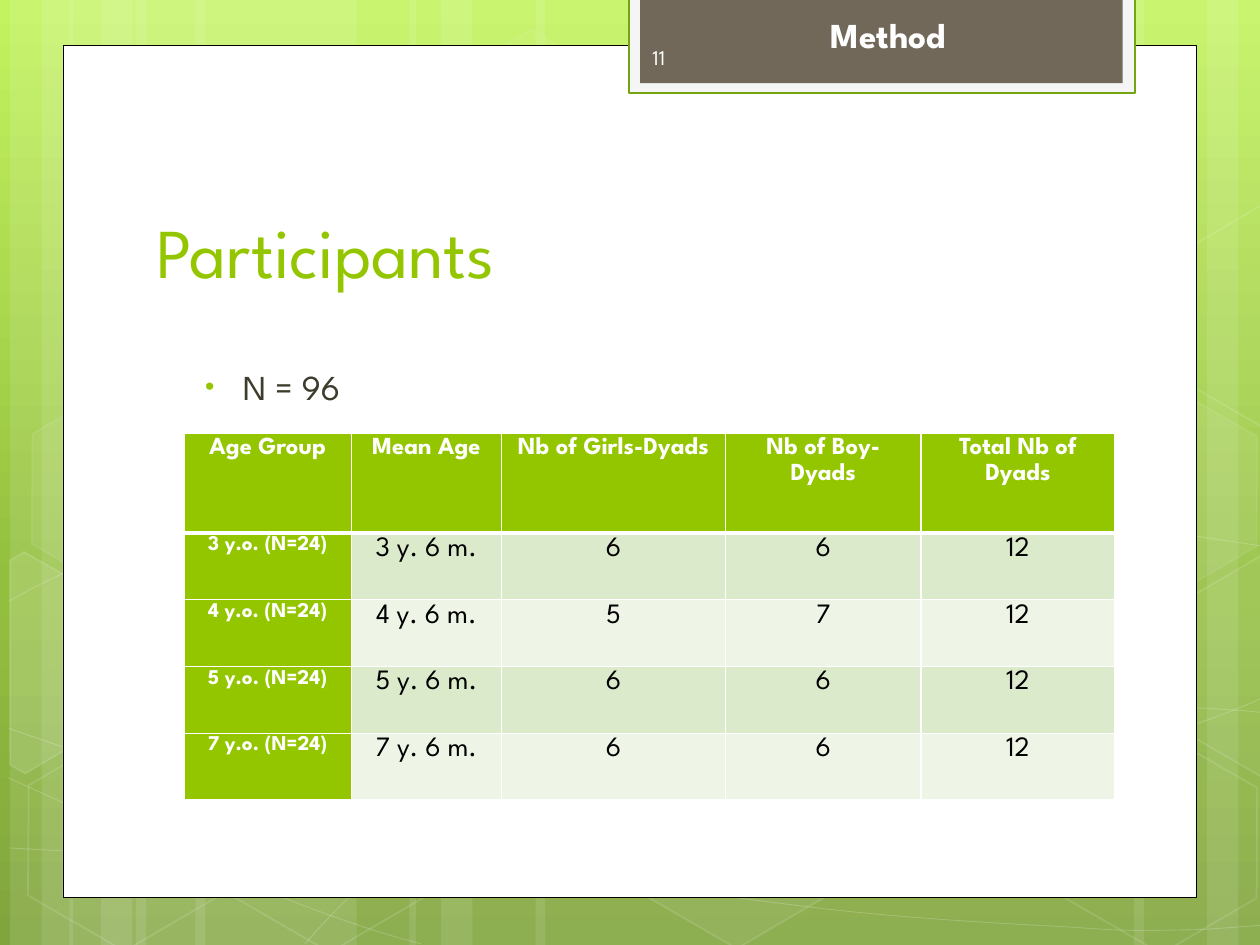
from dataclasses import dataclass
from typing import Optional

from lxml import etree
from pptx import Presentation
from pptx.dml.color import RGBColor
from pptx.enum.shapes import MSO_SHAPE
from pptx.enum.text import MSO_ANCHOR, MSO_AUTO_SIZE, PP_ALIGN
from pptx.oxml import parse_xml
from pptx.oxml.ns import nsdecls, qn
from pptx.util import Inches, Pt

RECTANGLE, HEXAGON = MSO_SHAPE.RECTANGLE, MSO_SHAPE.HEXAGON
TOP, MIDDLE, BOTTOM = MSO_ANCHOR.TOP, MSO_ANCHOR.MIDDLE, MSO_ANCHOR.BOTTOM
LEFT, CENTER = PP_ALIGN.LEFT, PP_ALIGN.CENTER
NO_AUTOFIT = MSO_AUTO_SIZE.NONE

FONT = "League Spartan"
WHITE = RGBColor(0xFF, 0xFF, 0xFF)
BLACK = RGBColor(0, 0, 0)
GREEN = RGBColor(0x94, 0xC6, 0x00)
DARK_GREEN = RGBColor(0x74, 0xA5, 0x10)
OLIVE = RGBColor(0x3E, 0x3D, 0x2D)
BROWN = RGBColor(0x71, 0x68, 0x5A)
TAB_GRAY = RGBColor(0xF5, 0xF5, 0xF5)
NUMBER_WHITE = RGBColor(0xFE, 0xFE, 0xFE)
BAND_COLORS = (RGBColor(0xDC, 0xEA, 0xCC), RGBColor(0xEE, 0xF5, 0xE7))
BACKGROUND_STOPS = ((0, "C3F35F"), (62, "93BF3F"), (100, "81A53E"))


@dataclass
class Style:
    fill: Optional[RGBColor] = None
    fill_alpha: int = 100
    line: Optional[RGBColor] = None
    line_width: float = 1
    line_alpha: int = 100


@dataclass
class Hexagon:
    left: float
    top: float
    fill_alpha: int
    line_alpha: int


@dataclass
class Outline:
    points: tuple
    fill_alpha: int


BAND_STYLE = Style(WHITE, 10)
CURVE_STYLE = Style(line=WHITE, line_width=0.5, line_alpha=20)

# Left edge and width of the translucent vertical bands
BANDS = ((1.08, 1.75), (0.08, 0.5), (0.33, 0.83), (1.55, 1.75), (0.55, 0.5), (0.8, 0.83),
         (7.33, 1.75), (9.58, 0.5), (9, 0.83), (4.25, 3.08), (3.25, 0.5), (3.5, 0.83))

# Each curve: a start point, then three points for each cubic segment
CURVES = (
    ((0.07, 6.73), (0.61, 6.76), (1.15, 6.79), (1.9, 6.78), (2.65, 6.77), (3.58, 6.75),
     (4.58, 6.65), (5.58, 6.55), (7, 6.36), (7.92, 6.17), (8.83, 5.98), (9.77, 5.68),
     (10.07, 5.51)),
    ((0.07, 4.77), (0.36, 4.61), (0.65, 4.46), (1.21, 4.31), (1.78, 4.16), (2.59, 3.94),
     (3.47, 3.87), (4.36, 3.8), (5.44, 3.79), (6.54, 3.87), (7.64, 3.95), (9.47, 4.26),
     (10.07, 4.34)),
    ((0.06, 6.17), (1.27, 6.72), (2.47, 7.27), (3.34, 7.49)),
    ((0.07, 5.78), (0.38, 5.89), (0.7, 6), (1.28, 6.16), (1.86, 6.31), (2.73, 6.56),
     (3.57, 6.73), (4.4, 6.9), (5.45, 7.08), (6.28, 7.18), (7.11, 7.29), (8, 7.33),
     (8.53, 7.36), (9.05, 7.4), (9.19, 7.38), (9.45, 7.38), (9.71, 7.37), (9.89, 7.35),
     (10.07, 7.34)),
    ((2.42, 7.49), (2.6, 7.29), (2.78, 7.09), (3.02, 6.91), (3.26, 6.73), (3.6, 6.53),
     (3.88, 6.39), (4.16, 6.25), (4.33, 6.19), (4.7, 6.09), (5.06, 5.99), (5.73, 5.85),
     (6.08, 5.78), (6.44, 5.71), (6.49, 5.71), (6.8, 5.69), (7.11, 5.66), (7.6, 5.63),
     (7.94, 5.62), (8.29, 5.61), (8.86, 5.62), (8.86, 5.62), (9.08, 5.62), (9.31, 5.62),
     (9.53, 5.62), (9.71, 5.63), (9.88, 5.64), (9.97, 5.65), (10.06, 5.66), (10.03, 5.65),
     (10.06, 5.66)),
)
HEXAGONS = (Hexagon(3.34, 0.36, 4, 8), Hexagon(4.97, 5.89, 6, 12), Hexagon(0.11, 5.91, 0, 12),
            Hexagon(0.14, 3.12, 7, 8), Hexagon(1.74, 5.92, 0, 12), Hexagon(8.34, 5.93, 0, 12),
            Hexagon(8.34, 3.14, 7, 8))
CUT_HEXAGONS = (
    Outline(((0.08, 4.45), (0.19, 4.38), (0.96, 4.82), (0.95, 5.7), (0.2, 6.14), (0.08, 6.07)), 10),
    Outline(((9.26, 4.85), (10.01, 4.41), (10.09, 4.46), (10.09, 6.13), (10.02, 6.17),
             (9.26, 5.73)), 4),
    Outline(((9.26, 2.07), (10.01, 1.63), (10.1, 1.68), (10.09, 3.35), (10.02, 3.39),
             (9.26, 2.95)), 0),
)

COLUMN_WIDTHS = (1.33, 1.19, 1.78, 1.55, 1.54)
ROW_HEIGHTS = (0.79, 0.53, 0.53, 0.53, 0.53)
TABLE_ROWS = (
    ("Age Group", "Mean Age", "Nb of Girls-Dyads", "Nb of Boy-Dyads", "Total Nb of Dyads"),
    ("3 y.o. (N=24)", "3 y. 6 m.", "6", "6", "12"),
    ("4 y.o. (N=24)", "4 y. 6 m.", "5", "7", "12"),
    ("5 y.o. (N=24)", "5 y. 6 m.", "6", "6", "12"),
    ("7 y.o. (N=24)", "7 y. 6 m.", "6", "6", "12"),
)


def set_alpha(fill, percent: int) -> None:
    if percent < 100:
        color = fill._xPr.find(qn("a:solidFill"))[0]
        etree.SubElement(color, qn("a:alpha"), val=str(percent * 1000))


def apply_style(shape, style: Style) -> None:
    shape.shadow.inherit = False
    if style.fill is None or style.fill_alpha == 0:
        shape.fill.background()
    else:
        shape.fill.solid()
        shape.fill.fore_color.rgb = style.fill
        set_alpha(shape.fill, style.fill_alpha)
    if style.line is None:
        shape.line.fill.background()
    else:
        shape.line.color.rgb = style.line
        shape.line.width = Pt(style.line_width)
        set_alpha(shape.line.fill, style.line_alpha)


def add_preset(slide, kind, left: float, top: float, width: float, height: float, style: Style):
    shape = slide.shapes.add_shape(kind, Inches(left), Inches(top), Inches(width), Inches(height))
    apply_style(shape, style)
    return shape


def add_outline(slide, points, style: Style, close: bool):
    start, *rest = [(Inches(x), Inches(y)) for x, y in points]
    builder = slide.shapes.build_freeform(*start, scale=1.0)
    builder.add_line_segments(rest, close=close)
    shape = builder.convert_to_shape()
    apply_style(shape, style)
    return shape


def add_curve(slide, controls) -> None:
    """Draw the control polygon, then join each three points into a cubic segment."""
    shape = add_outline(slide, controls, CURVE_STYLE, close=False)
    lines = list(shape._element.iter(qn("a:lnTo")))
    outline = lines[0].getparent()
    for first in range(0, len(lines), 3):
        cubic = etree.SubElement(outline, qn("a:cubicBezTo"))
        for line in lines[first:first + 3]:
            cubic.append(line[0])
            outline.remove(line)


def write_text(frame, text: str, *, size: float, color: RGBColor, bold: bool = False,
               align=LEFT, anchor=TOP, line_spacing: Optional[float] = None):
    frame.word_wrap = True
    frame.vertical_anchor = anchor
    paragraph = frame.paragraphs[0]
    paragraph.alignment = align
    paragraph.line_spacing = line_spacing
    run = paragraph.add_run()
    run.text = text
    run.font.name, run.font.size, run.font.bold = FONT, Pt(size), bold
    run.font.color.rgb = color
    return paragraph


def add_text(slide, text: str, left: float, top: float, width: float, height: float,
             margin_top: float = 0.05, **text_format):
    box = slide.shapes.add_textbox(Inches(left), Inches(top), Inches(width), Inches(height))
    box.text_frame.margin_top = Inches(margin_top)
    return write_text(box.text_frame, text, **text_format)


def add_bullet(paragraph) -> None:
    properties = paragraph._p.get_or_add_pPr()
    properties.set("marL", str(Inches(0.38)))
    properties.set("indent", str(Inches(-0.3)))
    color = etree.SubElement(properties, qn("a:buClr"))
    etree.SubElement(color, qn("a:srgbClr"), val=str(GREEN))
    etree.SubElement(properties, qn("a:buSzPct"), val="76000")
    etree.SubElement(properties, qn("a:buFont"), typeface="Arial")
    etree.SubElement(properties, qn("a:buChar"), char="•")


def set_borders(cell, row: int) -> None:
    widths = {"lnL": 1, "lnR": 1, "lnT": 3 if row == 1 else 1, "lnB": 3 if row == 0 else 1}
    for position, (side, width) in enumerate(widths.items()):
        cell._tc.get_or_add_tcPr().insert(position, parse_xml(
            f'<a:{side} {nsdecls("a")} w="{Pt(width)}"><a:solidFill>'
            f'<a:srgbClr val="{WHITE}"/></a:solidFill></a:{side}>'))


def add_participants_table(slide) -> None:
    table = slide.shapes.add_table(len(TABLE_ROWS), len(COLUMN_WIDTHS), Inches(1.46), Inches(3.44),
                                   Inches(sum(COLUMN_WIDTHS)), Inches(sum(ROW_HEIGHTS))).table
    for column, width in zip(table.columns, COLUMN_WIDTHS):
        column.width = Inches(width)
    for row, values in enumerate(TABLE_ROWS):
        table.rows[row].height = Inches(ROW_HEIGHTS[row])
        for column, value in enumerate(values):
            cell = table.cell(row, column)
            is_heading = row == 0 or column == 0
            cell.margin_left = cell.margin_right = Inches(0.07)
            cell.margin_top = cell.margin_bottom = 0
            cell.fill.solid()
            cell.fill.fore_color.rgb = GREEN if is_heading else BAND_COLORS[(row - 1) % 2]
            set_borders(cell, row)
            write_text(cell.text_frame, value, size=14 if row == 0 else 12 if column == 0 else 16,
                       color=WHITE if is_heading else BLACK, bold=is_heading,
                       align=CENTER, line_spacing=1.15)


def add_background(slide) -> None:
    fill = slide.background.fill
    fill.gradient()
    gradient = fill._xPr.find(qn("a:gradFill"))
    stops = gradient.find(qn("a:gsLst"))
    stops.clear()
    for position, color in BACKGROUND_STOPS:
        stop = etree.SubElement(stops, qn("a:gs"), pos=str(position * 1000))
        etree.SubElement(stop, qn("a:srgbClr"), val=color)
    gradient.find(qn("a:lin")).set("ang", str(90 * 60000))


def add_decoration(slide) -> None:
    for left, width in BANDS:
        add_preset(slide, RECTANGLE, left, 0, width, 7.5, BAND_STYLE)
    for controls in CURVES:
        add_curve(slide, controls)
    for item in HEXAGONS:
        shape = add_preset(slide, HEXAGON, item.left, item.top, 1.75, 1.52,
                           Style(WHITE, item.fill_alpha, WHITE, 1, item.line_alpha))
        shape.adjustments[0] = 0.285
        shape.rotation = 30
    for item in CUT_HEXAGONS:
        add_outline(slide, item.points, Style(WHITE, item.fill_alpha, WHITE, 1, 12), close=True)


def main() -> None:
    presentation = Presentation()
    presentation.slide_width, presentation.slide_height = Inches(10), Inches(7.5)
    slide = presentation.slides.add_slide(presentation.slide_layouts[5])
    add_background(slide)
    add_decoration(slide)

    # White card and section tab
    add_preset(slide, RECTANGLE, 0.5, 0.36, 9, 6.76, Style(WHITE, line=BLACK, line_width=0.5))
    add_preset(slide, RECTANGLE, 4.99, -0.02, 4.02, 0.76,
               Style(TAB_GRAY, line=DARK_GREEN, line_width=1.25))
    add_preset(slide, RECTANGLE, 5.08, -0.02, 3.83, 0.68, Style(BROWN))

    # Sample size, section name, table and slide number
    add_bullet(add_text(slide, "N = 96", 1.45, 2.46, 7.41, 5.04, margin_top=0.44,
                        size=20, color=OLIVE))
    add_text(slide, "Method", 5.16, 0.05, 3.78, 0.44, size=20, color=WHITE, bold=True,
             align=CENTER, anchor=BOTTOM)
    add_participants_table(slide)
    add_text(slide, "11", 5.08, 0.25, 1.46, 0.4, size=12, color=NUMBER_WHITE, anchor=MIDDLE)

    # Title, raised above the card
    title = slide.shapes.title
    title.left, title.top, title.width, title.height = map(Inches, (1.14, 1.12, 7.68, 1.25))
    title.text_frame.auto_size = NO_AUTOFIT
    write_text(title.text_frame, "Participants", size=40, color=GREEN, anchor=BOTTOM)
    slide.shapes._spTree.append(title._element)
    presentation.save("out.pptx")


if __name__ == "__main__":
    main()
